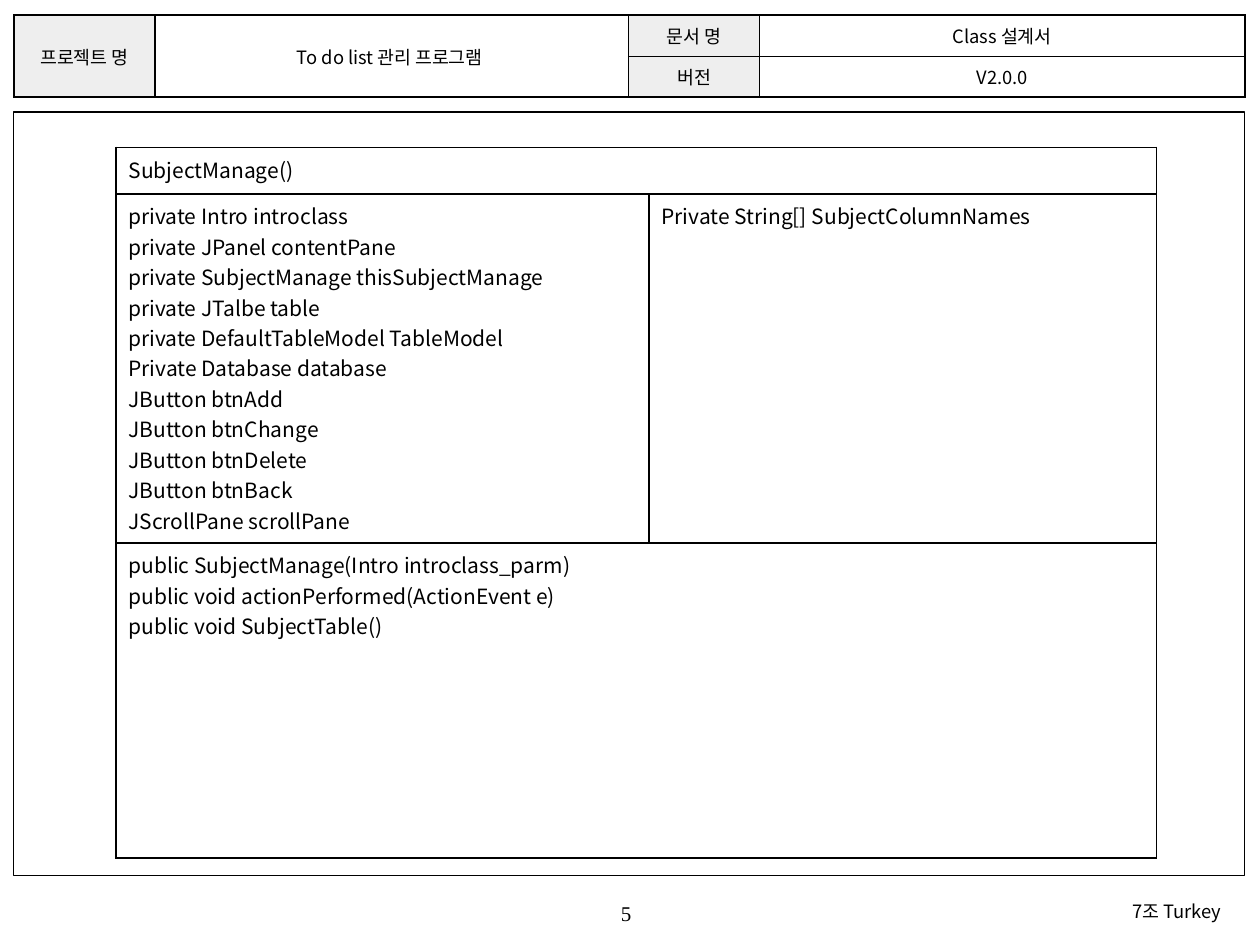
from dataclasses import dataclass
import pptx
import pptx.util
import pptx.dml.color
import pptx.enum.shapes
import pptx.enum.text
import pptx.oxml
import pptx.oxml.ns

Align = pptx.enum.text.PP_ALIGN
Anchor = pptx.enum.text.MSO_ANCHOR
Inch = pptx.util.Inches
Color = pptx.dml.color.RGBColor.from_string


@dataclass(frozen=True)
class Theme:
    ink: str = "000000"
    paper: str = "FFFFFF"
    label: str = "EEEEEE"
    sans: str = "Noto Sans CJK KR"
    serif: str = "Times New Roman"
    small: float = 10.5
    large: float = 12
    rule: float = 1
    frame: float = 0.75


@dataclass(frozen=True)
class Cell:
    row: int
    col: int
    lines: tuple[str, ...]
    down: int = 1
    over: int = 1
    fill: str = Theme.paper


@dataclass(frozen=True)
class Grid:
    left: float
    top: float
    cols: tuple[float, ...]
    rows: tuple[float, ...]
    cells: tuple[Cell, ...]
    size: float
    align: Align
    anchor: Anchor
    pad: tuple[float, float]


@dataclass(frozen=True)
class Note:
    text: str
    box: tuple[float, float, float, float]
    font: str
    size: float
    align: Align


theme = Theme()


def write(frame, lines: tuple[str, ...], font: str, size: float, align: Align) -> None:
    frame.text = "\n".join(lines)
    for para in frame.paragraphs:
        para.alignment = align
        para.font.size = pptx.util.Pt(size)
        para.font.color.rgb = Color(theme.ink)
        para.font.name = font
        props = para.font._element
        face = pptx.oxml.parse_xml(
            f'<a:ea {pptx.oxml.ns.nsdecls("a")} typeface="{font}"/>')
        props.find(pptx.oxml.ns.qn("a:latin")).addnext(face)


def edge(cell) -> None:
    props = cell._tc.get_or_add_tcPr()
    width = pptx.util.Pt(theme.rule)
    for place, side in enumerate("LRTB"):
        props.insert(place, pptx.oxml.parse_xml(
            f'<a:ln{side} {pptx.oxml.ns.nsdecls("a")} w="{width}"><a:solidFill>'
            f'<a:srgbClr val="{theme.ink}"/></a:solidFill></a:ln{side}>'))


def draw_grid(slide, grid: Grid) -> None:
    table = slide.shapes.add_table(
        len(grid.rows), len(grid.cols), Inch(grid.left), Inch(grid.top),
        Inch(sum(grid.cols)), Inch(sum(grid.rows))).table
    table.first_row = table.horz_banding = False
    for col, width in zip(table.columns, grid.cols):
        col.width = Inch(width)
    for row, height in zip(table.rows, grid.rows):
        row.height = Inch(height)
    for item in grid.cells:
        cell = table.cell(item.row, item.col)
        if item.down * item.over > 1:
            cell.merge(table.cell(item.row + item.down - 1, item.col + item.over - 1))
        write(cell.text_frame, item.lines, theme.sans, grid.size, grid.align)
        cell.vertical_anchor = grid.anchor
        cell.margin_left = cell.margin_right = Inch(grid.pad[0])
        cell.margin_top = cell.margin_bottom = Inch(grid.pad[1])
        cell.fill.solid()
        cell.fill.fore_color.rgb = Color(item.fill)
    for cell in table.iter_cells():
        edge(cell)


def draw_note(slide, note: Note) -> None:
    frame = slide.shapes.add_textbox(*map(Inch, note.box)).text_frame
    frame.word_wrap = True
    frame.vertical_anchor = Anchor.MIDDLE
    frame.margin_left = frame.margin_right = 0
    frame.margin_top = frame.margin_bottom = 0
    write(frame, (note.text,), note.font, note.size, note.align)


def draw_frame(slide) -> None:
    box = slide.shapes.add_shape(
        pptx.enum.shapes.MSO_SHAPE.RECTANGLE,
        Inch(0.11), Inch(0.89), Inch(9.77), Inch(6.06))
    box.shadow.inherit = False
    box.fill.background()
    box.line.color.rgb = Color(theme.ink)
    box.line.width = pptx.util.Pt(theme.frame)


head = Grid(0.11, 0.12, (1.12, 3.76, 1.04, 3.85), (0.33, 0.32), (
    Cell(0, 0, ("프로젝트 명",), down=2, fill=theme.label),
    Cell(0, 1, ("To do list 관리 프로그램 ",), down=2),
    Cell(0, 2, ("문서 명",), fill=theme.label),
    Cell(0, 3, ("Class 설계서",)),
    Cell(1, 2, ("버전",), fill=theme.label),
    Cell(1, 3, ("V2.0.0",)),
), theme.small, Align.CENTER, Anchor.MIDDLE, (0.04, 0.02))

fields = (
    "private Intro introclass",
    "private JPanel contentPane",
    "private SubjectManage thisSubjectManage",
    "private JTalbe table",
    "private DefaultTableModel TableModel",
    "Private Database database",
    "JButton btnAdd",
    "JButton btnChange",
    "JButton btnDelete",
    "JButton btnBack",
    "JScrollPane scrollPane",
)
methods = (
    "public SubjectManage(Intro introclass_parm)",
    "public void actionPerformed(ActionEvent e)",
    "public void SubjectTable()",
)
model = Grid(0.92, 1.17, (4.23, 4.03), (0.37, 2.77, 2.5), (
    Cell(0, 0, ("SubjectManage()",), over=2),
    Cell(1, 0, fields),
    Cell(1, 1, ("Private String[] SubjectColumnNames",)),
    Cell(2, 0, methods, over=2),
), theme.large, Align.LEFT, Anchor.TOP, (0.1, 0.05))

notes = (
    Note("5", (3.93, 7.08, 2.08, 0.33), theme.serif, theme.large, Align.CENTER),
    Note("7조 Turkey", (6.63, 7.07, 3.06, 0.33), theme.sans, theme.small, Align.RIGHT),
)

deck = pptx.Presentation()
deck.slide_width, deck.slide_height = Inch(10), Inch(7.5)
slide = deck.slides.add_slide(deck.slide_layouts[6])
draw_grid(slide, head)
draw_frame(slide)
for note in notes:
    draw_note(slide, note)
draw_grid(slide, model)
deck.save("out.pptx")
